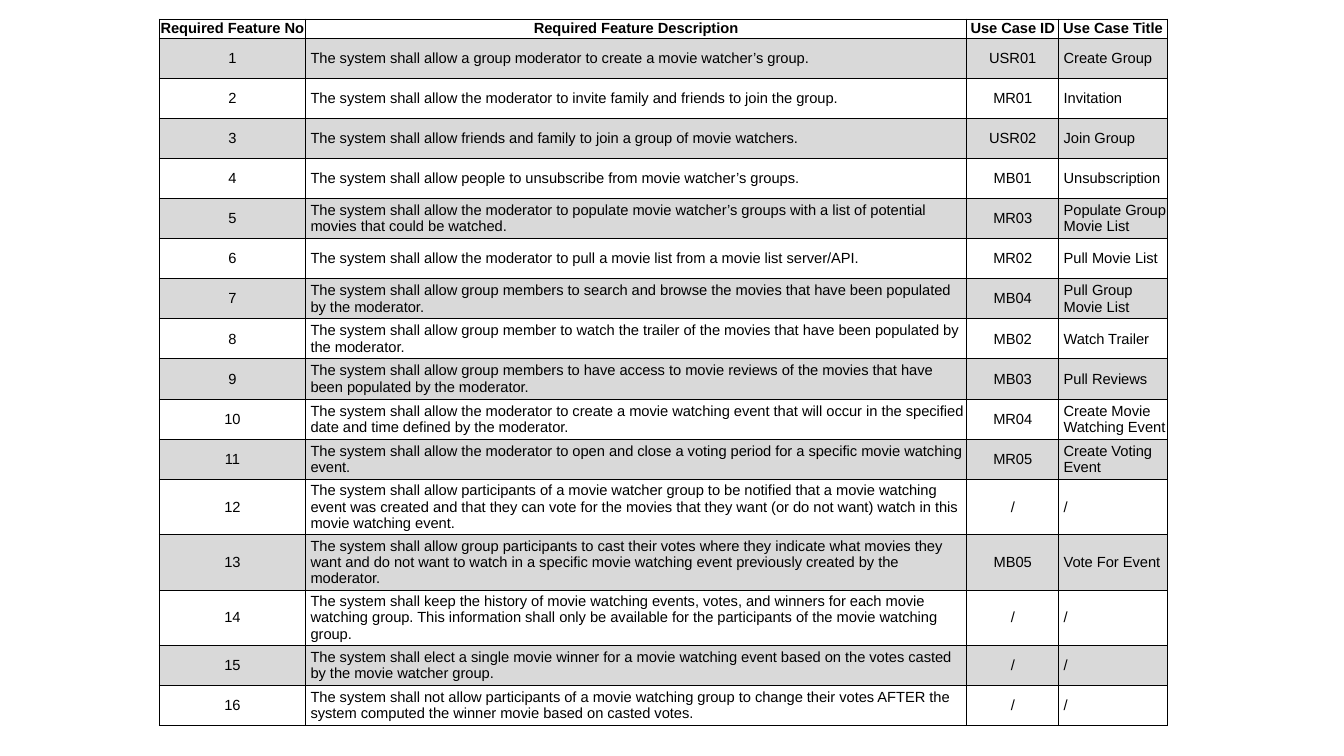
from dataclasses import dataclass

from lxml.etree import SubElement
from pptx import Presentation
from pptx.dml.color import RGBColor
from pptx.enum.text import MSO_ANCHOR, PP_ALIGN
from pptx.oxml.ns import qn
from pptx.util import Inches, Pt

# Content: description, use case ID, use case title (features number themselves)
HEADERS = ["Required Feature No", "Required Feature Description", "Use Case ID", "Use Case Title"]
FEATURES = [
    ("The system shall allow a group moderator to create a movie watcher’s group.",
     "USR01", "Create Group"),
    ("The system shall allow the moderator to invite family and friends to join the group.",
     "MR01", "Invitation"),
    ("The system shall allow friends and family to join a group of movie watchers.",
     "USR02", "Join Group"),
    ("The system shall allow people to unsubscribe from movie watcher’s groups.",
     "MB01", "Unsubscription"),
    ("The system shall allow the moderator to populate movie watcher’s groups with a list of "
     "potential movies that could be watched.", "MR03", "Populate Group Movie List"),
    ("The system shall allow the moderator to pull a movie list from a movie list server/API.",
     "MR02", "Pull Movie List"),
    ("The system shall allow group members to search and browse the movies that have been "
     "populated by the moderator.", "MB04", "Pull Group Movie List"),
    ("The system shall allow group member to watch the trailer of the movies that have been "
     "populated by the moderator.", "MB02", "Watch Trailer"),
    ("The system shall allow group members to have access to movie reviews of the movies that "
     "have been populated by the moderator.", "MB03", "Pull Reviews"),
    ("The system shall allow the moderator to create a movie watching event that will occur in "
     "the specified date and time defined by the moderator.",
     "MR04", "Create Movie Watching Event"),
    ("The system shall allow the moderator to open and close a voting period for a specific "
     "movie watching event.", "MR05", "Create Voting Event"),
    ("The system shall allow participants of a movie watcher group to be notified that a movie "
     "watching event was created and that they can vote for the movies that they want (or do "
     "not want) watch in this movie watching event.", "/", "/"),
    ("The system shall allow group participants to cast their votes where they indicate what "
     "movies they want and do not want to watch in a specific movie watching event previously "
     "created by the moderator.", "MB05", "Vote For Event"),
    ("The system shall keep the history of movie watching events, votes, and winners for each "
     "movie watching group. This information shall only be available for the participants of "
     "the movie watching group.", "/", "/"),
    ("The system shall elect a single movie winner for a movie watching event based on the "
     "votes casted by the movie watcher group.", "/", "/"),
    ("The system shall not allow participants of a movie watching group to change their votes "
     "AFTER the system computed the winner movie based on casted votes.", "/", "/"),
]


@dataclass(frozen=True)
class Theme:
    font: str = "Arial"
    size: float = 10.5
    ink: str = "000000"
    band: str = "D9D9D9"
    border: float = 0.75


THEME = Theme()

# Grid, in inches
SLIDE_W, SLIDE_H = 13.33, 7.5
LEFT, TOP, TABLE_H = 1.58, 0.19, 7.01
COL_WIDTHS = [1.45, 6.56, 0.91, 1.08]
LEFT_ALIGNED = (1, 3)
INDENT = 0.05
HEADER_H, TALL_H = 0.19, 0.55
TALL_ROWS = (12, 13, 14)
NORMAL_H = (TABLE_H - HEADER_H - TALL_H * len(TALL_ROWS)) / (len(FEATURES) - len(TALL_ROWS))


def row_height(row):
    if row == 0:
        return HEADER_H
    return TALL_H if row in TALL_ROWS else NORMAL_H


def add_borders(cell):
    tc_pr = cell._tc.get_or_add_tcPr()
    for side in ("a:lnL", "a:lnR", "a:lnT", "a:lnB"):
        ln = SubElement(tc_pr, qn(side), w=str(Pt(THEME.border)))
        fill = SubElement(ln, qn("a:solidFill"))
        SubElement(fill, qn("a:srgbClr"), val=THEME.ink)


def fill_cell(cell, text, row, col):
    add_borders(cell)
    if row % 2:
        cell.fill.solid()
        cell.fill.fore_color.rgb = RGBColor.from_string(THEME.band)
    else:
        cell.fill.background()
    indented = row > 0 and col in LEFT_ALIGNED
    cell.margin_left = Inches(INDENT if indented else 0)
    cell.margin_right = cell.margin_top = cell.margin_bottom = 0
    cell.vertical_anchor = MSO_ANCHOR.MIDDLE
    p = cell.text_frame.paragraphs[0]
    p.alignment = PP_ALIGN.LEFT if indented else PP_ALIGN.CENTER
    r = p.add_run()
    r.text = text
    r.font.name = THEME.font
    r.font.size = Pt(THEME.size)
    r.font.bold = row == 0
    r.font.color.rgb = RGBColor.from_string(THEME.ink)


def main():
    prs = Presentation()
    prs.slide_width, prs.slide_height = Inches(SLIDE_W), Inches(SLIDE_H)
    s = prs.slides.add_slide(prs.slide_layouts[6])

    # Feature table
    rows = [HEADERS] + [(str(n), *feature) for n, feature in enumerate(FEATURES, 1)]
    table = s.shapes.add_table(len(rows), len(HEADERS), Inches(LEFT), Inches(TOP),
                               Inches(sum(COL_WIDTHS)), Inches(TABLE_H)).table
    table.first_row = table.horz_banding = False
    for col, width in enumerate(COL_WIDTHS):
        table.columns[col].width = Inches(width)
    for row, texts in enumerate(rows):
        table.rows[row].height = Inches(row_height(row))
        for col, text in enumerate(texts):
            fill_cell(table.cell(row, col), text, row, col)

    prs.save("out.pptx")


if __name__ == "__main__":
    main()
